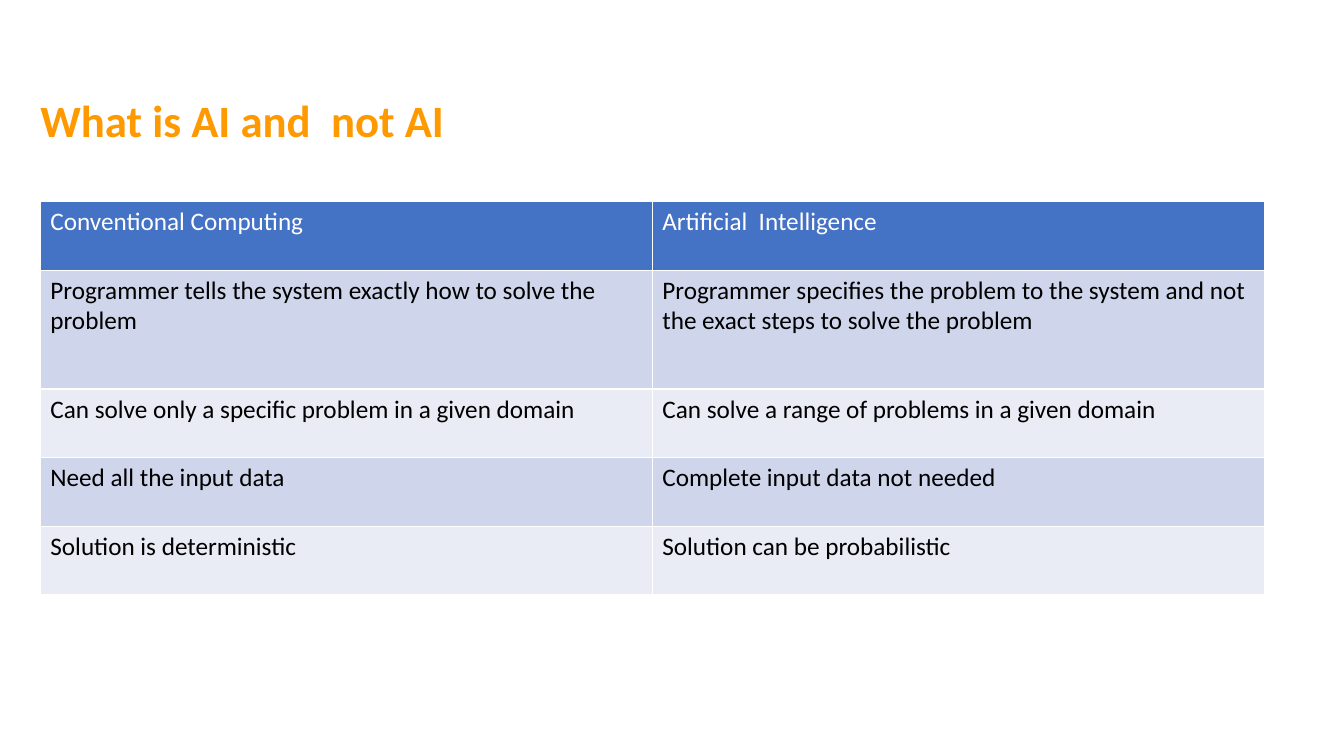
from lxml import etree
from pptx import Presentation
from pptx.dml.color import RGBColor
from pptx.enum.text import MSO_ANCHOR
from pptx.oxml.ns import qn
from pptx.util import Inches, Pt

ANCHOR_BOTTOM = MSO_ANCHOR.BOTTOM
FONT = "Calibri"
WHITE, BLACK, ORANGE = "FFFFFF", "000000", "FF9900"
HEADER_FILL = "4472C4"
BAND_FILLS = ("E9EBF5", "CFD5EA")

ROW_HEIGHTS = (0.68, 1.18, 0.68, 0.68, 0.68)
COMPARISON = (
    ("Conventional Computing", "Artificial  Intelligence"),
    ("Programmer tells the system exactly how to solve the problem",
     "Programmer specifies the problem to the system and not the exact steps to solve the problem"),
    ("Can solve only a specific problem in a given domain",
     "Can solve a range of problems in a given domain"),
    ("Need all the input data", "Complete input data not needed"),
    ("Solution is deterministic", "Solution can be probabilistic"),
)


def color(hex_string):
    return RGBColor.from_string(hex_string)


def add_run(paragraph, text, size, hex_string, bold=False):
    run = paragraph.add_run()
    run.text = text
    run.font.name = FONT
    run.font.size = Pt(size)
    run.font.bold = bold
    run.font.color.rgb = color(hex_string)


def set_borders(cell, hex_string, points):
    properties = cell._tc.get_or_add_tcPr()
    for side in ("lnL", "lnR", "lnT", "lnB"):
        line = etree.SubElement(properties, qn(f"a:{side}"), w=str(Pt(points)))
        fill = etree.SubElement(line, qn("a:solidFill"))
        etree.SubElement(fill, qn("a:srgbClr"), val=hex_string)


def add_title(slide, left, top, width, height):
    shape = slide.shapes.add_textbox(Inches(left), Inches(top), Inches(width), Inches(height))
    frame = shape.text_frame
    frame.word_wrap = True
    frame.vertical_anchor = ANCHOR_BOTTOM
    frame.margin_left = frame.margin_top = frame.margin_right = frame.margin_bottom = 0
    paragraph = frame.paragraphs[0]
    paragraph.line_spacing = 0.95
    add_run(paragraph, "What is AI and  not AI", 32, ORANGE, bold=True)


def add_comparison_table(slide, left, top, width):
    shape = slide.shapes.add_table(
        len(COMPARISON), len(COMPARISON[0]),
        Inches(left), Inches(top), Inches(width), Inches(sum(ROW_HEIGHTS)))
    table = shape.table
    for row_index, texts in enumerate(COMPARISON):
        table.rows[row_index].height = Inches(ROW_HEIGHTS[row_index])
        is_header = row_index == 0
        for column_index, text in enumerate(texts):
            cell = table.cell(row_index, column_index)
            set_borders(cell, WHITE, 1)
            cell.fill.solid()
            cell.fill.fore_color.rgb = color(HEADER_FILL if is_header else BAND_FILLS[row_index % 2])
            add_run(cell.text_frame.paragraphs[0], text, 18, WHITE if is_header else BLACK)


def main():
    presentation = Presentation()
    presentation.slide_width = Inches(13.33)
    presentation.slide_height = Inches(7.5)
    slide = presentation.slides.add_slide(presentation.slide_layouts[6])
    add_title(slide, 0.4, 0, 9.89, 1.47)
    add_comparison_table(slide, 0.4, 2, 12.14)
    presentation.save("out.pptx")


if __name__ == "__main__":
    main()
